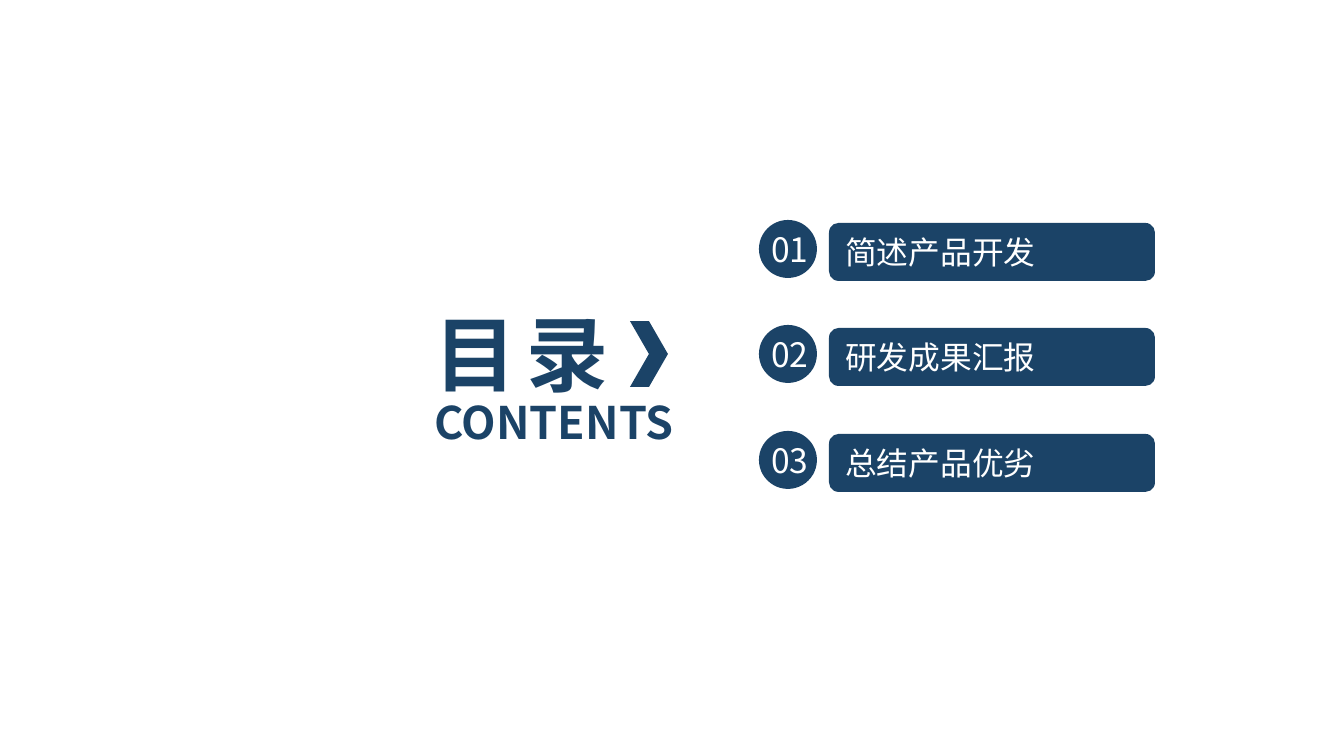
"""Build a contents slide with a title and three numbered bars."""
from pptx import Presentation
from pptx.dml.color import RGBColor
from pptx.enum.shapes import MSO_SHAPE as Kind
from pptx.enum.text import MSO_ANCHOR as Anchor, MSO_AUTO_SIZE as Auto, PP_ALIGN as Align
from pptx.oxml.ns import qn
from pptx.util import Emu, Pt
from lxml.etree import SubElement

NAVY = RGBColor(0x1B, 0x43, 0x67)
WHITE = RGBColor(0xFF, 0xFF, 0xFF)
FACE = "Noto Sans CJK SC"
SCALE = 914400 / 134.4

TITLE = "目 录"
LABEL = "CONTENTS"
ITEMS = ["简述产品开发", "研发成果汇报", "总结产品优劣"]
TOP, SPAN = 223, 211

HEAD = {"size": Pt(44), "bold": True, "color": NAVY}
SUB = {"size": Pt(24), "bold": True, "color": NAVY}
ITEM = {"size": Pt(17), "color": WHITE}
NUM = {"size": Pt(18), "color": WHITE}
FRAME = {"word_wrap": True, "auto_size": Auto.NONE, "vertical_anchor": Anchor.MIDDLE}


def px(*nums):
    return [Emu(round(n * SCALE)) for n in nums]


def write(shape, text, style, align=Align.LEFT):
    frame = shape.text_frame
    for key, val in FRAME.items():
        setattr(frame, key, val)
    para = frame.paragraphs[0]
    para.alignment = align
    run = para.add_run()
    run.text = text
    font = run.font
    for key, val in style.items():
        if key == "color":
            font.color.rgb = val
        else:
            setattr(font, key, val)
    font.name = FACE
    props = run._r.get_or_add_rPr()
    SubElement(props, qn("a:ea")).set("typeface", FACE)
    return props


def draw(shapes, kind, *box):
    shape = shapes.add_shape(kind, *px(*box))
    shape.shadow.inherit = False
    shape.fill.solid()
    shape.fill.fore_color.rgb = NAVY
    shape.line.fill.background()
    return shape


def main():
    deck = Presentation()
    deck.slide_width, deck.slide_height = px(1344, 756)
    slide = deck.slides.add_slide(deck.slide_layouts[5])
    shapes = slide.shapes

    title = shapes.title
    for key, val in zip(("left", "top", "width", "height"), px(421, 296, 316, 113)):
        setattr(title, key, val)
    write(title, TITLE, HEAD).set("spc", "-220")
    write(shapes.add_textbox(*px(421, 388, 310, 67)), LABEL, SUB)
    draw(shapes, Kind.CHEVRON, 630, 321, 38, 66)

    for i, text in enumerate(ITEMS):
        top = TOP + i * SPAN // 2
        write(draw(shapes, Kind.ROUNDED_RECTANGLE, 829, top, 326, 58), text, ITEM)
        badge = shapes.add_group_shape().shapes
        draw(badge, Kind.OVAL, 759, top - 3, 58, 58)
        write(badge.add_textbox(*px(755, top - 1, 70, 54)), f"{i + 1:02}", NUM, Align.CENTER)

    deck.save("out.pptx")


if __name__ == "__main__":
    main()
